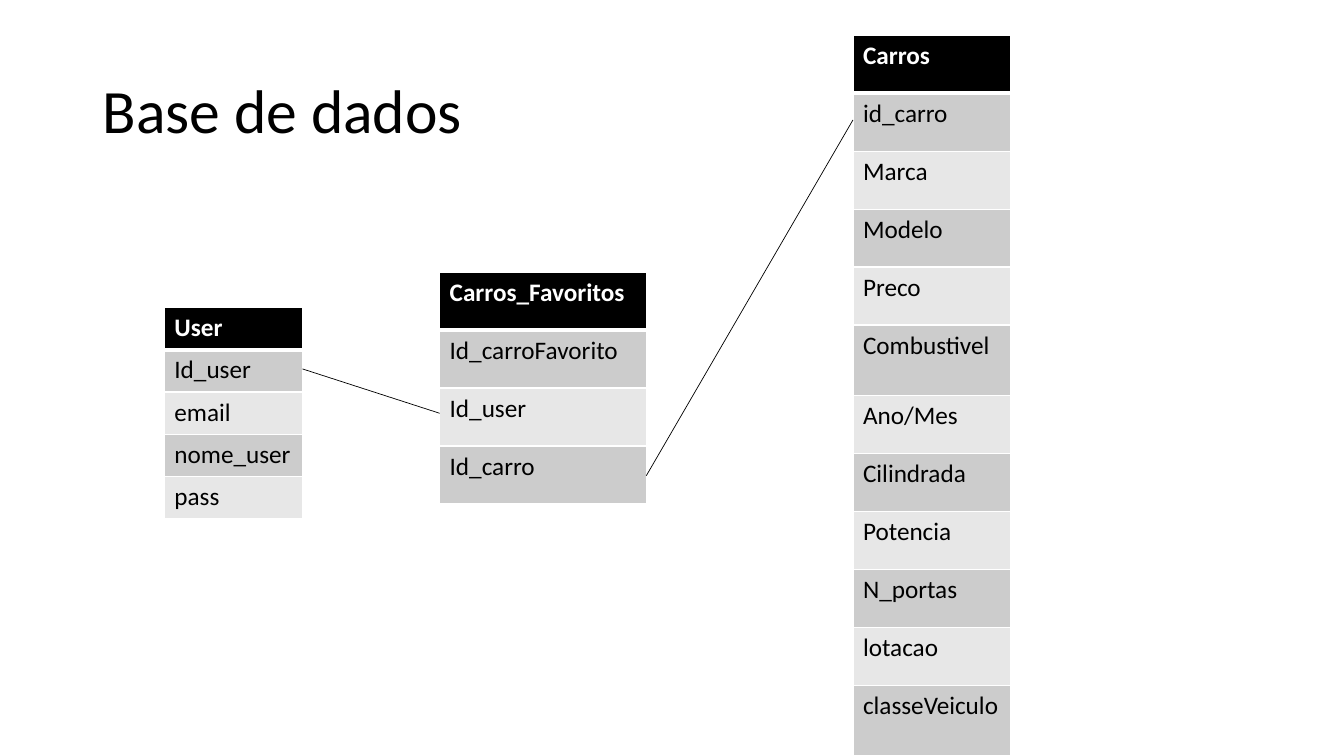
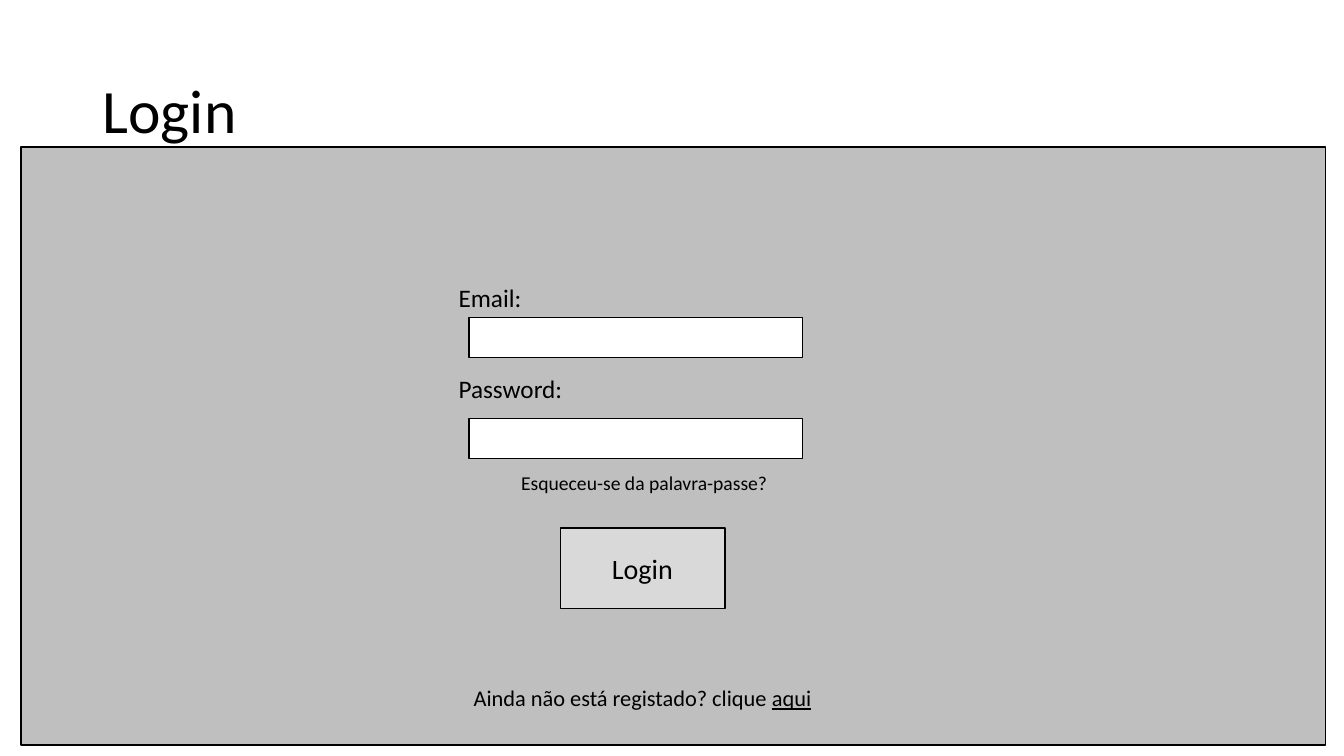
from lxml.etree import SubElement
from pptx import Presentation
from pptx.dml.color import RGBColor
from pptx.enum.shapes import MSO_CONNECTOR, MSO_SHAPE
from pptx.enum.text import MSO_ANCHOR
from pptx.oxml import parse_xml
from pptx.oxml.ns import nsdecls, qn
from pptx.util import Inches, Pt

COLORS = {
    "ink": "000000",
    "paper": "FFFFFF",
    "band_dark": "CCCCCC",
    "band_light": "E7E7E7",
    "panel": "BFBFBF",
    "button": "D9D9D9",
}
FONT = "Calibri"
TITLE_BOX = (0.92, 0.4, 11.5, 1.45)
TITLE_FRAME = {"word_wrap": True, "vertical_anchor": MSO_ANCHOR.MIDDLE}
LABEL_FRAME = {"word_wrap": False, "vertical_anchor": MSO_ANCHOR.TOP}

ROW = 0.575
TALL_ROW = 0.7
USER_ROW = 0.42
# Left, top, width, usual row height, taller rows, field names
ENTITIES = [
    (1.63, 3.05, 1.37, USER_ROW, (), ["User", "Id_user", "email", "nome_user", "pass"]),
    (8.46, 0.35, 1.56, ROW, ("Combustivel", "classeVeiculo"),
     ["Carros", "id_carro", "Marca", "Modelo", "Preco", "Combustivel", "Ano/Mes",
      "Cilindrada", "Potencia", "N_portas", "lotacao", "classeVeiculo"]),
    (4.36, 2.7, 2.05, ROW, (),
     ["Carros_Favoritos", "Id_carroFavorito", "Id_user", "Id_carro"]),
]
RELATIONS = [(3, 3.66, 4.36, 4.1), (6.41, 4.72, 8.46, 1.19)]

LOGIN_BOXES = [
    ((0.21, 1.46, 12.94, 5.93), "panel"),
    ((4.65, 3.15, 3.31, 0.4), "paper"),
    ((4.65, 4.15, 3.31, 0.4), "paper"),
    ((5.56, 5.24, 1.63, 0.8), "button"),
]
LOGIN_LABELS = [
    ((4.45, 2.75, 0.9, 0.4), 18, ["Email:"]),
    ((4.45, 3.65, 1.37, 0.4), 18, ["Password:"]),
    ((5.07, 4.62, 2.66, 0.34), 14, ["Esqueceu-se da palavra-passe?"]),
    ((5.97, 5.42, 0.86, 0.44), 20, ["Login"]),
    ((4.6, 6.74, 3.55, 0.37), 16, ["Ainda não está registado? clique ", "aqui"]),
]


def rgb(color):
    return RGBColor.from_string(COLORS[color])


def inches(lengths):
    return [Inches(length) for length in lengths]


def apply_format(target, values):
    for attribute, value in values.items():
        setattr(target, attribute, value)


def fill_with(owner, color):
    owner.fill.solid()
    owner.fill.fore_color.rgb = rgb(color)


def add_run(paragraph, text, size, color="ink", **extra):
    run = paragraph.add_run()
    run.text = text
    apply_format(run.font, {"name": FONT, "size": Pt(size), **extra})
    run.font.color.rgb = rgb(color)


def add_text(slide, box, size, texts, frame_format):
    """Add one paragraph; every text after the first is underlined."""
    frame = slide.shapes.add_textbox(*inches(box)).text_frame
    apply_format(frame, frame_format)
    paragraph = frame.paragraphs[0]
    for position, text in enumerate(texts):
        add_run(paragraph, text, size, underline=position > 0)
    return paragraph


def add_titled_slide(deck, title):
    slide = deck.slides.add_slide(deck.slide_layouts[6])
    add_text(slide, TITLE_BOX, 44, [title], TITLE_FRAME).line_spacing = 0.9
    return slide


def add_box(slide, box, color):
    rectangle = slide.shapes.add_shape(MSO_SHAPE.RECTANGLE, *inches(box))
    rectangle.shadow.inherit = False
    fill_with(rectangle, color)
    rectangle.line.color.rgb = rgb("ink")
    rectangle.line.width = Pt(1)


def set_borders(cell, top, bottom):
    """Draw white borders, with the top and bottom widths in points."""
    properties = cell._tc.get_or_add_tcPr()
    widths = {"lnL": 1, "lnR": 1, "lnT": top, "lnB": bottom}
    for position, (side, width) in enumerate(widths.items()):
        properties.insert(position, parse_xml(
            f'<a:{side} {nsdecls("a")} w="{Pt(width)}"><a:solidFill>'
            f'<a:srgbClr val="{COLORS["paper"]}"/></a:solidFill></a:{side}>'))


def add_entity(slide, left, top, width, row_height, tall_fields, fields):
    heights = [TALL_ROW if field in tall_fields else row_height for field in fields]
    table = slide.shapes.add_table(
        len(fields), 1, *inches((left, top, width, sum(heights)))).table
    for index, (field, height) in enumerate(zip(fields, heights)):
        header = index == 0
        table.rows[index].height = Inches(height)
        cell = table.cell(index, 0)
        band = "band_dark" if index % 2 else "band_light"
        fill_with(cell, "ink" if header else band)
        set_borders(cell, top=3 if index == 1 else 1, bottom=3 if header else 1)
        add_run(cell.text_frame.paragraphs[0], field, 18,
                "paper" if header else "ink", bold=header)


def add_relation(slide, ends):
    relation = slide.shapes.add_connector(MSO_CONNECTOR.STRAIGHT, *inches(ends))
    relation.line.color.rgb = rgb("ink")
    relation.line.width = Pt(0.5)
    SubElement(relation._element.spPr, qn("a:effectLst"))


def build_database(deck):
    slide = add_titled_slide(deck, "Base de dados")
    for entity in ENTITIES:
        add_entity(slide, *entity)
    for ends in RELATIONS:
        add_relation(slide, ends)


def build_login(deck):
    slide = add_titled_slide(deck, "Login")
    for box, color in LOGIN_BOXES:
        add_box(slide, box, color)
    for box, size, texts in LOGIN_LABELS:
        add_text(slide, box, size, texts, LABEL_FRAME)


def main():
    deck = Presentation()
    apply_format(deck, {"slide_width": Inches(13.33), "slide_height": Inches(7.5)})
    build_database(deck)
    build_login(deck)
    deck.save("out.pptx")


if __name__ == "__main__":
    main()
